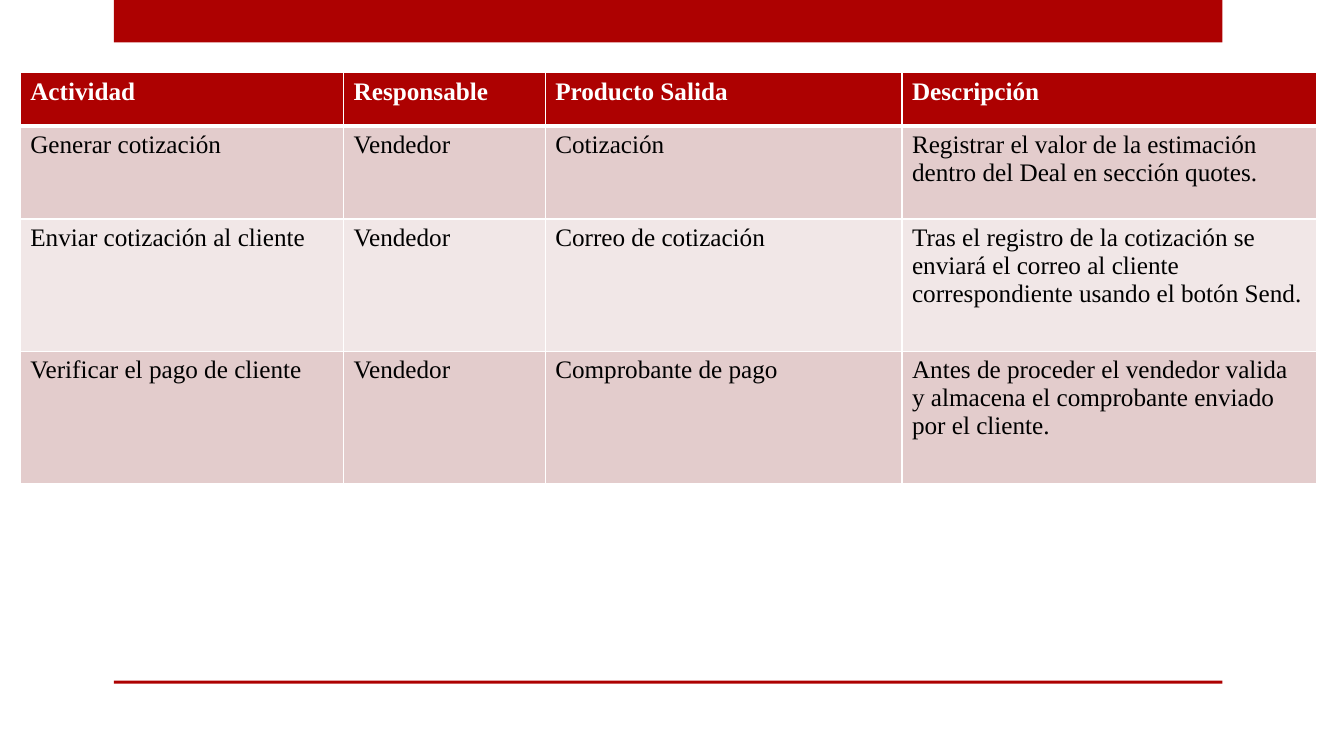
from dataclasses import dataclass

from lxml import etree
from pptx import Presentation
from pptx.dml.color import RGBColor
from pptx.enum.shapes import MSO_SHAPE
from pptx.oxml.ns import qn
from pptx.slide import Slide
from pptx.table import _Cell
from pptx.util import Cm, Pt

RECTANGLE = MSO_SHAPE.RECTANGLE
RED = RGBColor(0xAD, 0x01, 0x01)
ROSE = RGBColor(0xE3, 0xCC, 0xCC)
PALE_ROSE = RGBColor(0xF1, 0xE7, 0xE7)
WHITE = RGBColor(0xFF, 0xFF, 0xFF)
BLACK = RGBColor(0x00, 0x00, 0x00)
FONT = "Times New Roman"
BLANK_LAYOUT = 6


@dataclass
class Band:
    top: float
    height: float


@dataclass
class Activity:
    name: str
    responsible: str
    output: str
    description: str
    height: float

    def texts(self) -> list[str]:
        return [self.name, self.responsible, self.output, self.description]


BAND_LEFT, BAND_WIDTH = 2.87, 27.94
BANDS = [Band(0, 1.07), Band(17.15, 0.08)]

TABLE_LEFT, TABLE_TOP = 0.51, 1.83
COLUMN_WIDTHS = [8.15, 5.08, 8.99, 10.44]
ACTIVITIES = [
    Activity("Actividad", "Responsable", "Producto Salida", "Descripción", 1.35),
    Activity("Generar cotización", "Vendedor", "Cotización",
             "Registrar el valor de la estimación dentro del Deal en sección quotes.",
             2.34),
    Activity("Enviar cotización al cliente", "Vendedor", "Correo de cotización",
             "Tras el registro de la cotización se enviará el correo al cliente "
             "correspondiente usando el botón Send.", 3.33),
    Activity("Verificar el pago de cliente", "Vendedor", "Comprobante de pago",
             "Antes de proceder el vendedor valida y almacena el comprobante "
             "enviado por el cliente.", 3.33),
]


def draw_band(slide: Slide, band: Band) -> None:
    bar = slide.shapes.add_shape(RECTANGLE, Cm(BAND_LEFT), Cm(band.top),
                                 Cm(BAND_WIDTH), Cm(band.height))
    bar.shadow.inherit = False
    bar.fill.solid()
    bar.fill.fore_color.rgb = RED
    bar.line.fill.background()


def set_borders(cell: _Cell, *, top: float, bottom: float) -> None:
    properties = cell._tc.get_or_add_tcPr()
    for side, points in (("L", 1), ("R", 1), ("T", top), ("B", bottom)):
        border = etree.SubElement(properties, qn(f"a:ln{side}"), w=str(Pt(points)))
        fill = etree.SubElement(border, qn("a:solidFill"))
        etree.SubElement(fill, qn("a:srgbClr"), val=str(WHITE))


def write(cell: _Cell, text: str, *, color: RGBColor, bold: bool,
          size: float = 18) -> None:
    run = cell.text_frame.paragraphs[0].add_run()
    run.text = text
    run.font.name = FONT
    run.font.size = Pt(size)
    run.font.bold = bold
    run.font.color.rgb = color


def draw_activities(slide: Slide, activities: list[Activity]) -> None:
    table = slide.shapes.add_table(
        len(activities), len(COLUMN_WIDTHS), Cm(TABLE_LEFT), Cm(TABLE_TOP),
        Cm(sum(COLUMN_WIDTHS)), Cm(sum(a.height for a in activities))).table
    for column, width in zip(table.columns, COLUMN_WIDTHS):
        column.width = Cm(width)
    for index, activity in enumerate(activities):
        table.rows[index].height = Cm(activity.height)
        header = index == 0
        background = RED if header else (ROSE if index % 2 else PALE_ROSE)
        for cell, text in zip(table.rows[index].cells, activity.texts()):
            set_borders(cell, top=3 if index == 1 else 1, bottom=3 if header else 1)
            cell.fill.solid()
            cell.fill.fore_color.rgb = background
            write(cell, text, color=WHITE if header else BLACK, bold=header)


def main() -> None:
    deck = Presentation()
    deck.slide_width, deck.slide_height = Cm(33.87), Cm(19.05)
    slide = deck.slides.add_slide(deck.slide_layouts[BLANK_LAYOUT])

    # Red bands at the top and bottom
    for band in BANDS:
        draw_band(slide, band)

    # Table of activities
    draw_activities(slide, ACTIVITIES)

    deck.save("out.pptx")


if __name__ == "__main__":
    main()
